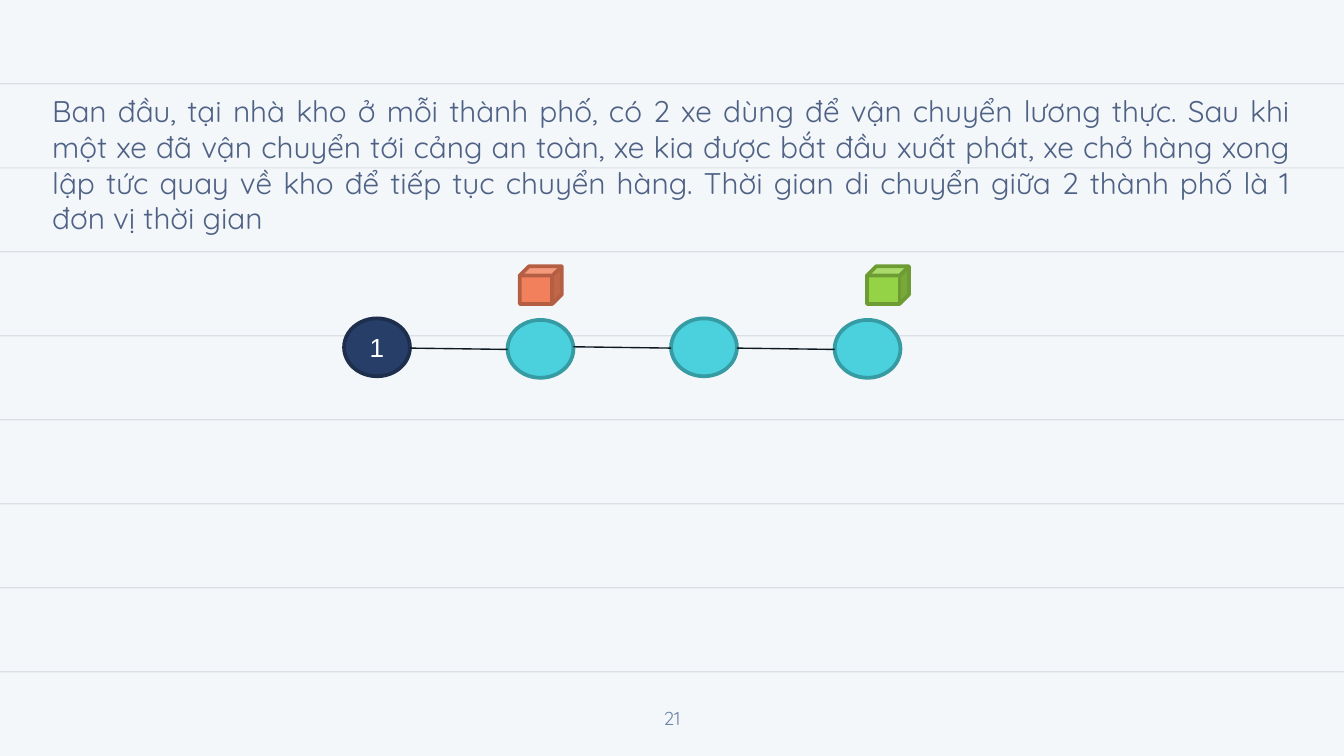
from lxml.etree import SubElement
from pptx import Presentation
from pptx.dml.color import RGBColor
from pptx.enum.shapes import MSO_CONNECTOR, MSO_SHAPE
from pptx.enum.text import MSO_ANCHOR, PP_ALIGN
from pptx.oxml.ns import qn
from pptx.util import Pt

COLORS = {
    "background": "F4F7FA", "rule": "30485C", "body": "4F6285", "number": "7085AA",
    "white": "FFFFFF", "edge": "0F1922",
    "navy": "273F68", "navy_line": "1D2F4D",
    "teal": "4BD1DD", "teal_line": "379BA3",
    "green": "95D346", "green_line": "6E9C34",
    "orange": "F3805C", "orange_line": "B45F44",
}
BODY = (
    "Ban đầu, tại nhà kho ở mỗi thành phố, có 2 xe dùng để vận chuyển lương thực. "
    "Sau khi một xe đã vận chuyển tới cảng an toàn, xe kia được bắt đầu xuất phát, "
    "xe chở hàng xong lập tức quay về kho để tiếp tục chuyển hàng. "
    "Thời gian di chuyển giữa 2 thành phố là 1 đơn vị thời gian"
)
PAGE_NUMBER = "21"
CITIES = [("1", "navy", 170.6), ("", "teal", 171.4), ("", "teal", 170.6), ("", "teal", 171.4)]
EDGE_HEIGHTS = [(186.5, 187.2), (185.8, 186.5), (186.5, 187.2)]
CARGO = [("green", 464.4), ("orange", 278.4)]

SLIDE_WIDTH, SLIDE_HEIGHT = 720, 405
RULE_COUNT, RULE_GAP = 8, 45
CITY_LEFT, CITY_PITCH, CITY_WIDTH, CITY_HEIGHT = 184.3, 87.6, 35.3, 31


def write_text(shape, text, *, size, color, font="Quicksand", align=PP_ALIGN.CENTER,
               anchor=MSO_ANCHOR.MIDDLE, margin=None):
    """Put formatted text into a shape."""
    frame = shape.text_frame
    frame.word_wrap = True
    frame.vertical_anchor = anchor
    if margin is not None:
        frame.margin_left = frame.margin_right = Pt(margin)
        frame.margin_top = frame.margin_bottom = Pt(margin)
    paragraph = frame.paragraphs[0]
    paragraph.alignment = align
    run = paragraph.add_run()
    run.text = text
    run.font.name = font
    run.font.size = Pt(size)
    run.font.color.rgb = RGBColor.from_string(COLORS[color])


def add_filled(slide, kind, left, top, width, height, color, outlined=True):
    """Add a preset shape with a fill and an optional matching outline."""
    shape = slide.shapes.add_shape(kind, Pt(left), Pt(top), Pt(width), Pt(height))
    shape.shadow.inherit = False
    shape.fill.solid()
    shape.fill.fore_color.rgb = RGBColor.from_string(COLORS[color])
    if outlined:
        shape.line.color.rgb = RGBColor.from_string(COLORS[f"{color}_line"])
        shape.line.width = Pt(2)
    else:
        shape.line.fill.background()
    return shape


def add_rule(slide, top):
    """Add one translucent notebook rule across the slide."""
    rule = add_filled(slide, MSO_SHAPE.RECTANGLE, 0, top, SLIDE_WIDTH, 0.6, "rule", outlined=False)
    color = rule.element.spPr.find(qn("a:solidFill")).find(qn("a:srgbClr"))
    SubElement(color, qn("a:alpha"), val="13000")


def add_edge(slide, start, end):
    """Add a thin line between two points."""
    edge = slide.shapes.add_connector(MSO_CONNECTOR.STRAIGHT, *map(Pt, start + end))
    edge.line.color.rgb = RGBColor.from_string(COLORS["edge"])
    edge.line.width = Pt(0.75)
    SubElement(edge.element.spPr, qn("a:effectLst"))


def main():
    """Build and save the slide."""
    presentation = Presentation()
    presentation.slide_width, presentation.slide_height = Pt(SLIDE_WIDTH), Pt(SLIDE_HEIGHT)
    slide = presentation.slides.add_slide(presentation.slide_layouts[6])
    slide.background.fill.solid()
    slide.background.fill.fore_color.rgb = RGBColor.from_string(COLORS["background"])

    for index in range(1, RULE_COUNT + 1):
        add_rule(slide, index * RULE_GAP - 0.4)

    number = slide.shapes.add_textbox(Pt(338.4), Pt(373.7), Pt(43.2), Pt(21.6))
    write_text(number, PAGE_NUMBER, size=10, color="number", margin=0)

    for index, (label, color, top) in enumerate(CITIES):
        left = CITY_LEFT + index * CITY_PITCH
        city = add_filled(slide, MSO_SHAPE.OVAL, left, top, CITY_WIDTH, CITY_HEIGHT, color)
        if label:
            write_text(city, label, size=14, color="white", font="Arial")

    for index, (start_height, end_height) in enumerate(EDGE_HEIGHTS):
        left = CITY_LEFT + index * CITY_PITCH
        add_edge(slide, (left + CITY_WIDTH, start_height), (left + CITY_PITCH, end_height))

    for color, left in CARGO:
        add_filled(slide, MSO_SHAPE.CUBE, left, 142.6, 22.6, 20.2, color)

    body = slide.shapes.add_textbox(Pt(20.9), Pt(46.1), Pt(677.5), Pt(85))
    write_text(body, BODY, size=16, color="body", align=PP_ALIGN.JUSTIFY, anchor=MSO_ANCHOR.TOP)

    presentation.save("out.pptx")


if __name__ == "__main__":
    main()
